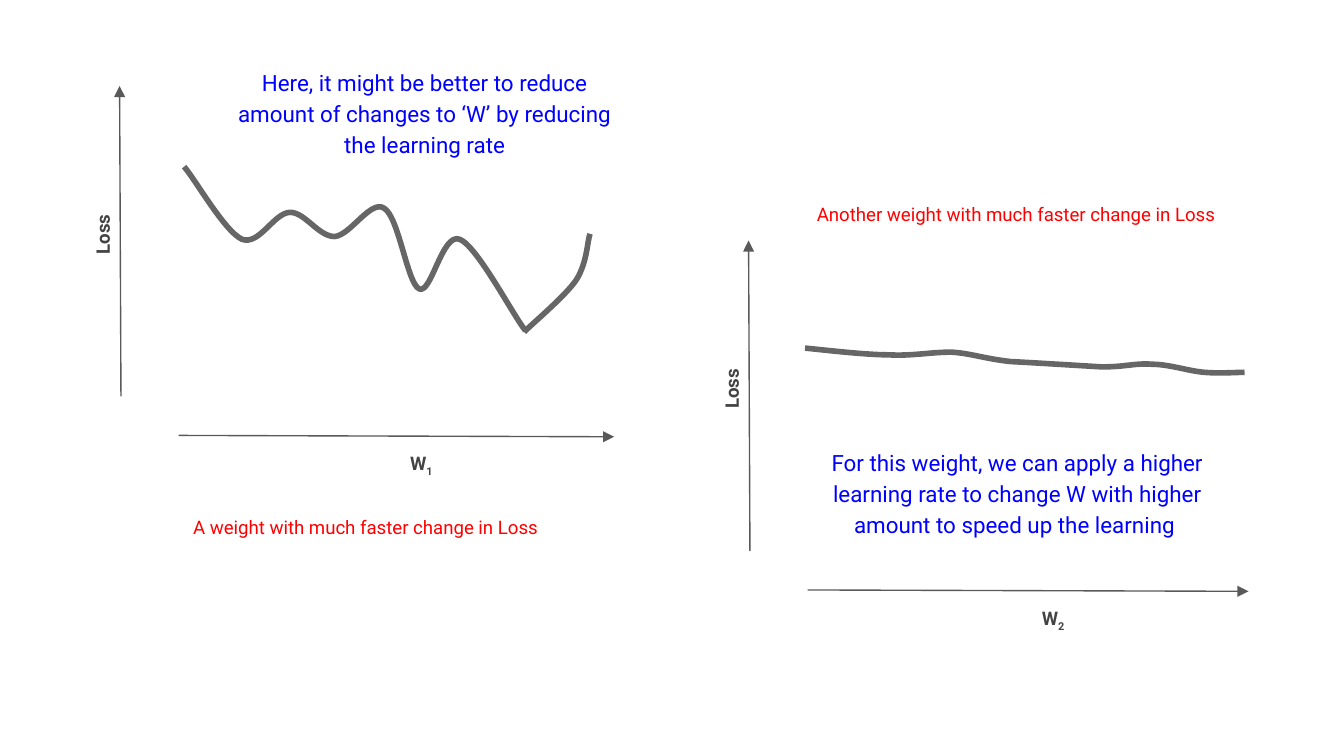
from lxml import etree
from pptx import Presentation
from pptx import util as u
from pptx.dml.color import RGBColor
from pptx.enum import shapes, text
from pptx.oxml import ns

# A 16:9 slide of 1000 columns; rows are as high as columns are wide.
CELL = u.Inches(0.01)
SLIDE_WIDTH = CELL * 1000
SLIDE_HEIGHT = SLIDE_WIDTH * 9 // 16
FONT = "Roboto"

AXIS_GREY = RGBColor(0x59, 0x59, 0x59)
CURVE_GREY = RGBColor(0x66, 0x66, 0x66)
LABEL_GREY = RGBColor(0x43, 0x43, 0x43)
CAPTION_RED = RGBColor(0xFF, 0x00, 0x00)
ADVICE_BLUE = RGBColor(0x00, 0x00, 0xFF)

# Each curve is a start point followed by Bezier triples, in panel cells.
STEEP_DESCENT = [
    (48, 60),
    (56, 69), (78, 108), (91, 114),
    (104, 119), (115, 94), (127, 94),
    (138, 94), (148, 112), (160, 112),
    (172, 111), (187, 84), (197, 91),
    (208, 98), (214, 147), (223, 151),
    (232, 155), (240, 109), (253, 114),
    (266, 119), (293, 171), (302, 182),
]
STEEP_RISE = [
    (301, 183),
    (308, 176), (332, 156), (340, 144),
    (348, 131), (348, 115), (350, 110),
]
FLAT_LOSS = [
    (42, 80),
    (53, 81), (86, 85), (104, 85),
    (122, 86), (135, 83), (151, 83),
    (166, 84), (176, 88), (195, 90),
    (214, 91), (246, 93), (263, 94),
    (281, 94), (288, 91), (300, 92),
    (313, 92), (327, 97), (339, 98),
    (350, 99), (364, 98), (369, 98),
]


def place(origin, point):
    return [CELL * (start + offset) for start, offset in zip(origin, point)]


def add_axis(slide, origin, tail, tip):
    axis = slide.shapes.add_connector(
        shapes.MSO_CONNECTOR.STRAIGHT, *place(origin, tail), *place(origin, tip))
    axis.line.color.rgb = AXIS_GREY
    axis.line.width = u.Pt(0.75)
    etree.SubElement(axis.line._get_or_add_ln(), ns.qn("a:tailEnd"), type="triangle")
    etree.SubElement(axis._element.spPr, ns.qn("a:effectLst"))


def add_curve(slide, origin, points):
    """Build the outline from its control points, then bend each three into a Bezier."""
    start, *controls = [place(origin, point) for point in points]
    builder = slide.shapes.build_freeform(*start)
    builder.add_line_segments(controls, close=False)
    curve = builder.convert_to_shape()
    outline = curve._element.find(".//" + ns.qn("a:path"))
    segments = outline.findall(ns.qn("a:lnTo"))
    for first in range(0, len(segments), 3):
        bezier = etree.SubElement(outline, ns.qn("a:cubicBezTo"))
        for segment in segments[first:first + 3]:
            bezier.append(segment[0])
            outline.remove(segment)
    curve.fill.background()
    curve.line.color.rgb = CURVE_GREY
    curve.line.width = u.Pt(3)
    curve.shadow.inherit = False


def add_words(slide, origin, corner, size, runs, points, color, bold=False,
              anchor=text.MSO_ANCHOR.MIDDLE, spacing=None, rotation=0):
    """Add one centred paragraph; runs are (words, baseline shift) pairs."""
    box = slide.shapes.add_textbox(*place(origin, corner), *place((0, 0), size))
    box.rotation = rotation
    frame = box.text_frame
    frame.word_wrap = True
    frame.vertical_anchor = anchor
    frame.margin_left = frame.margin_right = u.Inches(0.1)
    frame.margin_top = frame.margin_bottom = u.Inches(0.1)
    paragraph = frame.paragraphs[0]
    paragraph.alignment = text.PP_ALIGN.CENTER
    paragraph.line_spacing = spacing
    for words, baseline in runs:
        run = paragraph.add_run()
        run.text = words
        run.font.name = FONT
        run.font.size = u.Pt(points)
        run.font.bold = bold
        run.font.color.rgb = color
        if baseline:
            run.font._element.set("baseline", str(baseline * 1000))


def add_axis_label(slide, origin, corner, size, runs, rotation=0):
    add_words(slide, origin, corner, size, runs, 10, LABEL_GREY, bold=True,
              anchor=text.MSO_ANCHOR.TOP, rotation=rotation)


def add_loss_panel(slide, origin, width, index, curves, caption, caption_corner,
                   advice, advice_corner):
    """Draw one loss plot; origin is the tip of its vertical axis."""
    axis_start = 44
    add_axis(slide, origin, (axis_start, 260), (width, 261))
    add_axis(slide, origin, (1, 231), (0, 0))
    weight_left = (axis_start + width) // 2 - 16
    add_axis_label(slide, origin, (weight_left, 263), (69, 28), [("W", 0), (index, -25)])
    add_axis_label(slide, origin, (-56, 98), (78, 25), [("Loss", 0)], rotation=270)
    for curve in curves:
        add_curve(slide, origin, curve)
    add_words(slide, origin, caption_corner, (339, 42), [(caption, 0)], 10, CAPTION_RED)
    add_words(slide, origin, advice_corner, (298, 114), [(advice, 0)], 12, ADVICE_BLUE,
              spacing=1.15)


def main():
    deck = Presentation()
    deck.slide_width, deck.slide_height = SLIDE_WIDTH, SLIDE_HEIGHT
    slide = deck.slides.add_slide(deck.slide_layouts[6])
    add_loss_panel(
        slide, (89, 64), 368, "1", [STEEP_DESCENT, STEEP_RISE],
        "A weight with much faster change in Loss ", (15, 307),
        "Here, it might be better to reduce amount of changes to ‘W’ "
        "by reducing the learning rate", (78, -38))
    add_loss_panel(
        slide, (557, 179), 372, "2", [FLAT_LOSS],
        "Another weight with much faster change in Loss ", (31, -41),
        "For this weight, we can apply a higher learning rate to change W "
        "with higher amount to speed up the learning ", (51, 130))
    deck.save("out.pptx")


if __name__ == "__main__":
    main()
